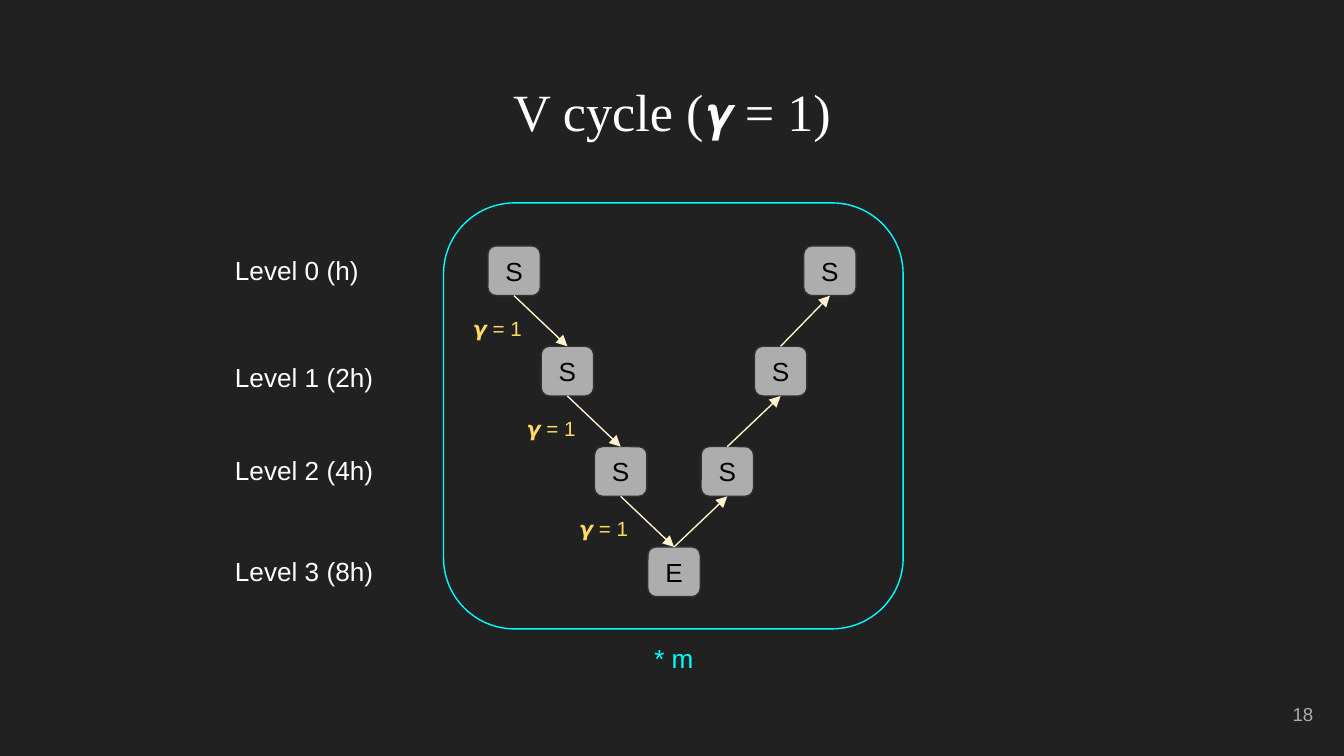
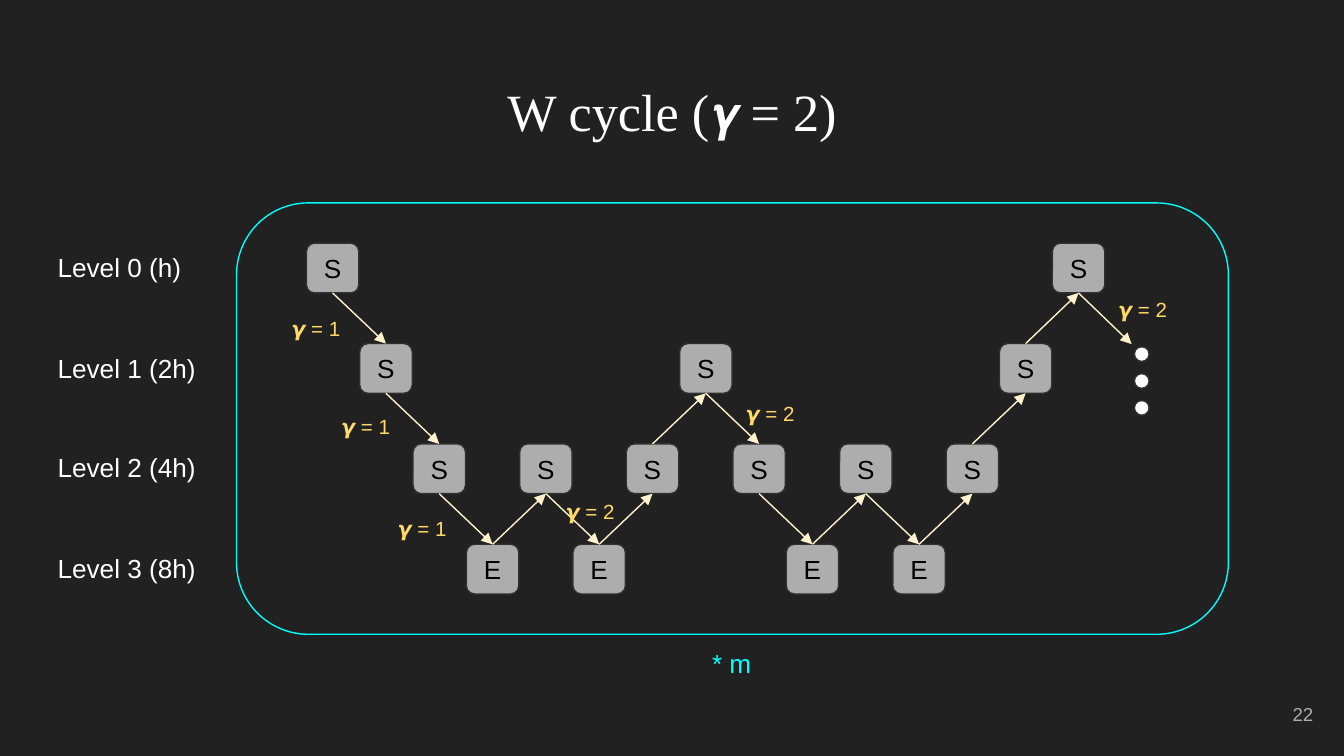
from pptx import Presentation
from pptx.dml.color import RGBColor
from pptx.enum.shapes import MSO_CONNECTOR as Connector, MSO_SHAPE as Shape
from pptx.enum.text import MSO_ANCHOR as Anchor, PP_ALIGN as Align
from pptx.oxml.ns import qn
from pptx.util import Inches, Pt
from lxml.etree import SubElement

LEVELS = ("Level 0 (h)", "Level 1 (2h)", "Level 2 (4h)", "Level 3 (8h)")
NODE_W, NODE_H = 0.39, 0.37
STEP, ROW = 1.19 / 3, 2.24 / 3


def rgb(value):
    return RGBColor.from_string(value)


def write(sp, text, size=14, font="Arial", color="FFFFFF", align=Align.LEFT, anchor=Anchor.TOP):
    tf = sp.text_frame
    tf.word_wrap = True
    tf.vertical_anchor = anchor
    tf.margin_left = tf.margin_right = tf.margin_top = tf.margin_bottom = Inches(0.1)
    p = tf.paragraphs[0]
    p.alignment = align
    r = p.add_run()
    r.text = text
    r.font.size, r.font.name = Pt(size), font
    r.font.color.rgb = rgb(color)


class Deck:
    """Builds multigrid cycle slides in one shared style."""

    BACK, CYAN, GREY, EDGE = "212121", "00FFFF", "ADADAD", "303030"
    WHITE, CREAM, GOLD = "FFFFFF", "FFF2CC", "FFD966"

    def __init__(self):
        self.prs = Presentation()
        self.prs.slide_width, self.prs.slide_height = Inches(10), Inches(10 * 9 / 16)
        self.s = None

    def slide(self, title, number):
        self.s = self.prs.slides.add_slide(self.prs.slide_layouts[6])
        fill = self.s.background.fill
        fill.solid()
        fill.fore_color.rgb = rgb(self.BACK)
        self.text(title, 0.34, 0.49, 9.32, 0.63, size=28, font="Times New Roman", align=Align.CENTER)
        self.text(str(number), 9.27, 5.1, 0.6, 0.43, size=10, color=self.GREY,
                  align=Align.RIGHT, anchor=Anchor.MIDDLE)

    def text(self, text, x, y, w, h, **style):
        write(self.s.shapes.add_textbox(Inches(x), Inches(y), Inches(w), Inches(h)), text, **style)

    def shape(self, kind, x, y, w, h, fill=None, line=EDGE):
        sp = self.s.shapes.add_shape(kind, Inches(x), Inches(y), Inches(w), Inches(h))
        sp.shadow.inherit = False
        if fill:
            sp.fill.solid()
            sp.fill.fore_color.rgb = rgb(fill)
        else:
            sp.fill.background()
        sp.line.color.rgb = rgb(line)
        sp.line.width = Pt(0.75)
        return sp

    def node(self, letter, x, y):
        sp = self.shape(Shape.ROUNDED_RECTANGLE, x, y, NODE_W, NODE_H, self.GREY)
        write(sp, letter, color="000000", align=Align.CENTER, anchor=Anchor.MIDDLE)
        return sp

    def arrow(self, start, down, end=None, tip=(0, 0)):
        x, y = tip
        c = self.s.shapes.add_connector(Connector.STRAIGHT, 0, 0, Inches(x), Inches(y))
        c.begin_connect(start, 2 if down else 0)
        if end is not None:
            c.end_connect(end, 0 if down else 2)
        c.line.color.rgb = rgb(self.CREAM)
        c.line.width = Pt(0.75)
        SubElement(c.line._get_or_add_ln(), qn("a:tailEnd"), type="triangle")
        SubElement(c._element.spPr, qn("a:effectLst"))

    def cycle(self, route, first, last, top):
        lefts = [first + i * STEP for i in range(len(route) - 1)] + [last]
        nodes = [self.node("E" if level == 3 else "S", x, top + level * ROW)
                 for x, level in zip(lefts, route)]
        for i in range(len(route) - 1):
            self.arrow(nodes[i], route[i + 1] > route[i], nodes[i + 1])
        return nodes

    def levels(self, x, tops):
        for label, y in zip(LEVELS, tops):
            self.text(label, x, y, 1.3, 0.45)

    def gammas(self, value, *places):
        for x, y in places:
            self.text(f"𝞬 = {value}", x, y, 0.61, 0.33, size=11, color=self.GOLD)

    def frame(self, x, w, h, label_x):
        self.shape(Shape.ROUNDED_RECTANGLE, x, 1.51, w, h, line=self.CYAN)
        self.text("* m", label_x, 1.51 + h, 0.5, 0.35, color=self.CYAN)

    def dots(self, x, y, gap):
        for i in range(3):
            self.shape(Shape.FLOWCHART_CONNECTOR, x, y + i * gap, 0.11, 0.11, self.WHITE)


def main():
    deck = Deck()

    deck.slide("V cycle (𝞬 = 1)", 18)
    deck.cycle((0, 1, 2, 3, 2, 1, 0), 3.63, 5.98, 1.83)
    deck.levels(1.65, (1.79, 2.59, 3.28, 4.03))
    deck.gammas(1, (3.42, 2.26), (3.82, 3), (4.21, 3.75))
    deck.frame(3.3, 3.42, 3.17, 4.77)

    deck.slide("W cycle (𝞬 = 2)", 22)
    nodes = deck.cycle((0, 1, 2, 3, 2, 3, 2, 1, 2, 3, 2, 3, 2, 1, 0), 2.28, 7.83, 1.81)
    deck.arrow(nodes[-1], True, tip=(8.42, 2.56))
    deck.levels(0.33, (1.77, 2.52, 3.26, 4.01))
    deck.gammas(1, (2.07, 2.26), (2.44, 2.99), (2.86, 3.75))
    deck.gammas(2, (4.11, 3.62), (5.45, 2.89), (8.22, 2.12))
    deck.frame(1.76, 7.38, 3.21, 5.2)
    deck.dots(8.44, 2.58, 0.2)

    deck.prs.save("out.pptx")


if __name__ == "__main__":
    main()
